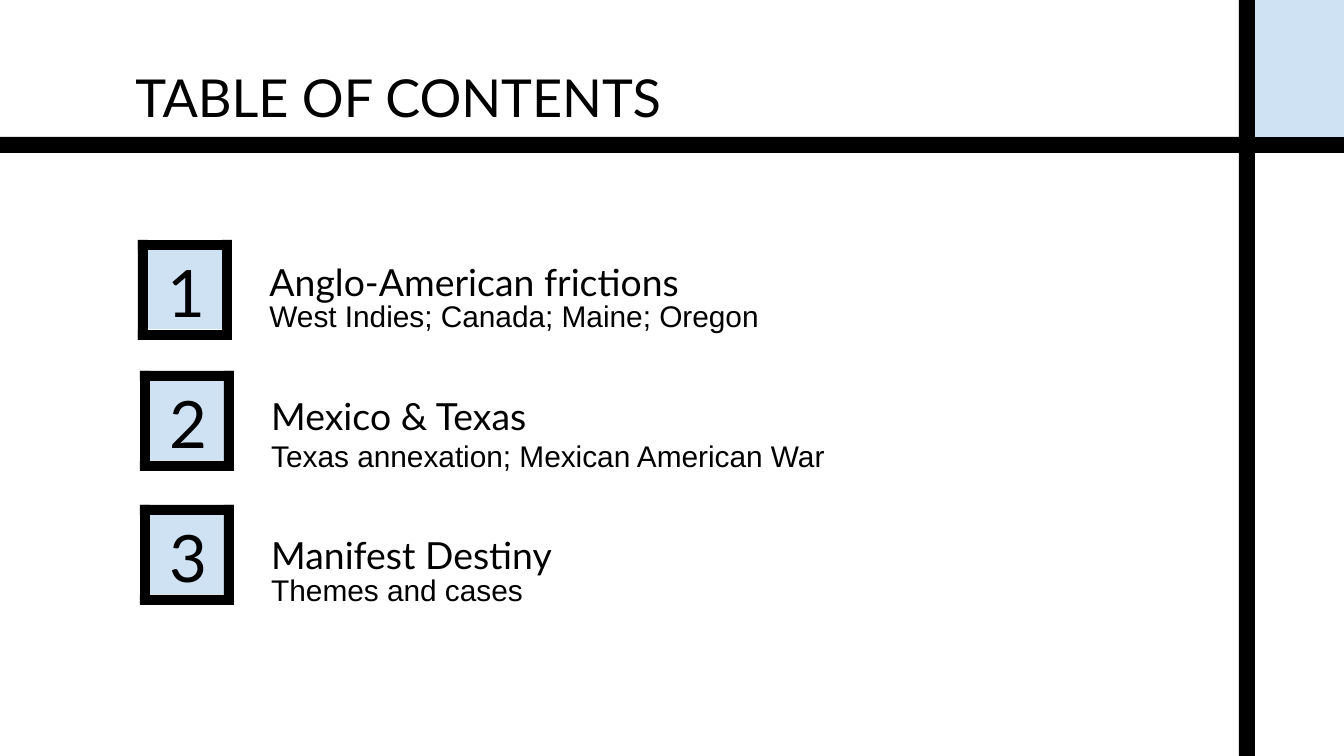
from lxml.etree import SubElement
from pptx import Presentation
from pptx.dml.color import RGBColor
from pptx.enum.shapes import MSO_SHAPE as Shape
from pptx.enum.text import MSO_ANCHOR as Anchor, MSO_AUTO_SIZE as AutoSize, PP_ALIGN as Align
from pptx.oxml.ns import qn
from pptx.util import Emu, Inches, Pt

TITLE = "TABLE OF CONTENTS"
# number, heading, detail, frame corner, heading top, detail top
SECTIONS = [
    ("1", "Anglo-American frictions", "West Indies; Canada; Maine; Oregon", (138, 240), 238, 286),
    ("2", "Mexico & Texas", "Texas annexation; Mexican American War", (140, 371), 372, 426),
    ("3", "Manifest Destiny", "Themes and cases", (140, 505), 511, 560),
]

BLACK = RGBColor(0x00, 0x00, 0x00)
PALE_BLUE = RGBColor(0xCF, 0xE2, 0xF3)
SLIDE_W, SLIDE_H = 1344, 756
RULE = 16
RULE_X, RULE_Y = 1239, 137
FRAME_W, FRAME_H, FRAME_BAR = 94, 100, 10


def px(length):
    return Emu(round(length * Inches(10) / SLIDE_W))


def add_rect(shapes, color, left, top, width, height):
    rect = shapes.add_shape(Shape.RECTANGLE, px(left), px(top), px(width), px(height))
    rect.shadow.inherit = False
    rect.fill.solid()
    rect.fill.fore_color.rgb = color
    rect.line.fill.background()


def write(holder, text, font, size, box, align=Align.LEFT, margin=0, indent=0,
          line_spacing=1.0, space_after=0):
    """Place a text holder on the slide and fill it with one styled paragraph."""
    holder.left, holder.top, holder.width, holder.height = map(px, box)
    frame = holder.text_frame
    frame.word_wrap = True
    frame.auto_size = AutoSize.NONE
    frame.vertical_anchor = Anchor.MIDDLE
    frame.margin_left = frame.margin_right = Inches(0.1)
    frame.margin_top = frame.margin_bottom = Inches(0.1)
    paragraph = frame.paragraphs[0]
    paragraph.alignment = align
    paragraph.line_spacing = line_spacing
    paragraph.space_before = Pt(0)
    paragraph.space_after = Pt(space_after)
    properties = paragraph._p.get_or_add_pPr()
    properties.set("marL", str(px(margin)))
    properties.set("indent", str(px(indent)))
    SubElement(properties, qn("a:buNone"))
    run = paragraph.add_run()
    run.text = text
    run.font.name = font
    run.font.size = Pt(size)
    run.font.color.rgb = BLACK


def add_number(shapes, number, left, top):
    """Draw a numbered pale square inside a black frame of four bars."""
    add_rect(shapes, PALE_BLUE, left + 8, top + 10, 78, 79)
    holder = shapes.add_textbox(0, 0, 0, 0)
    write(holder, number, "Lato", 35, (left + 13, top + 12, 71, 79), Align.CENTER)
    bars = shapes.add_group_shape().shapes
    for offset in (0, FRAME_W - FRAME_BAR):
        add_rect(bars, BLACK, left + offset, top, FRAME_BAR, FRAME_H)
    for offset in (0, FRAME_H - FRAME_BAR):
        add_rect(bars, BLACK, left, top + offset, FRAME_W, FRAME_BAR)


def main():
    deck = Presentation()
    deck.slide_width, deck.slide_height = px(SLIDE_W), px(SLIDE_H)
    slide = deck.slides.add_slide(deck.slide_layouts.get_by_name("Two Content"))
    shapes = slide.shapes
    title, first_heading, first_detail = slide.placeholders

    add_rect(shapes, BLACK, 0, RULE_Y, SLIDE_W, RULE)
    add_rect(shapes, PALE_BLUE, RULE_X, 0, SLIDE_W - RULE_X, RULE_Y)
    add_rect(shapes, BLACK, RULE_X, 0, RULE, SLIDE_H)
    write(title, TITLE, "Lato", 28, (122, 79, 1117, 35))

    for row, (number, heading, detail, corner, heading_top, detail_top) in enumerate(SECTIONS):
        left, top = corner
        add_number(shapes, number, left, top)
        if row == 0:
            heading_holder, detail_holder = first_heading, first_detail
        else:
            heading_holder, detail_holder = (shapes.add_textbox(0, 0, 0, 0) for _ in range(2))
        write(heading_holder, heading, "Lato", 20, (left + 118, heading_top, 601, 81),
              line_spacing=1.15, space_after=12)
        write(detail_holder, detail, "Arial", 16, (left + 102, detail_top, 715, 59),
              margin=67, indent=-51)

    deck.save("out.pptx")


if __name__ == "__main__":
    main()
